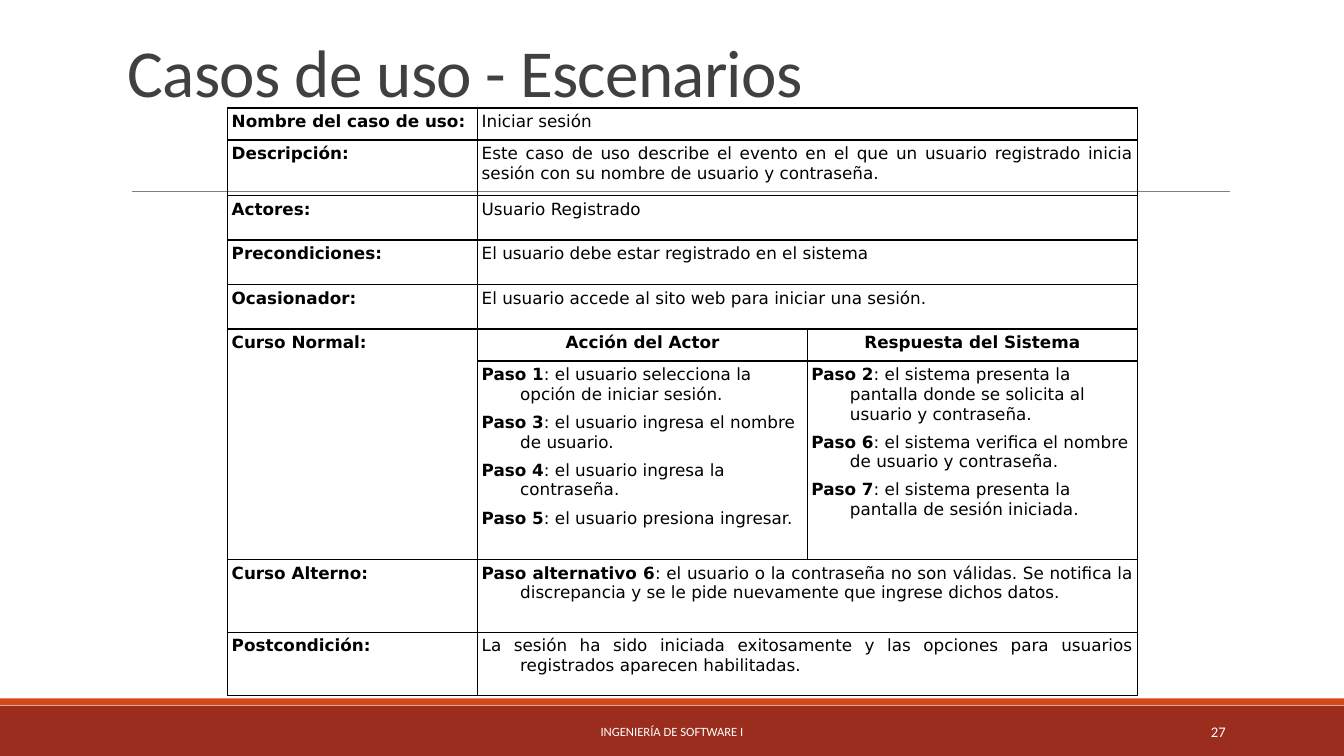
from lxml.etree import SubElement
from pptx import Presentation
from pptx.dml.color import RGBColor
from pptx.enum.shapes import MSO_CONNECTOR, MSO_SHAPE
from pptx.enum.text import MSO_ANCHOR, PP_ALIGN
from pptx.oxml.ns import qn
from pptx.util import Cm, Pt

COLORS = {
    "band": "9B2D1F",
    "stripe": "D34817",
    "rule": "808080",
    "title": "404040",
    "footer": "FFFFFF",
    "ink": "000000",
}
SLIDE_WIDTH, SLIDE_HEIGHT = 33.87, 19.05
COLUMN_WIDTHS = [6.3, 8.31, 8.31]
ROW_HEIGHTS = [0.81, 1.4, 1.12, 1.12, 1.12, 0.81, 5.0, 1.83, 1.6]
CELL_MARGIN = 0.1
HANGING = 0.97
TAB_STOP = 1.78

# Rows whose value spans both right columns: row, label, bold lead, text
SUMMARY_ROWS = [
    (0, "Nombre del caso de uso:", "", "Iniciar sesión"),
    (1, "Descripción:", "", "Este caso de uso describe el evento en el que un usuario "
        "registrado inicia sesión con su nombre de usuario y contraseña."),
    (2, "Actores:", "", "Usuario Registrado"),
    (3, "Precondiciones:", "", "El usuario debe estar registrado en el sistema"),
    (4, "Ocasionador:", "", "El usuario accede al sito web para iniciar una sesión."),
    (7, "Curso Alterno:", "Paso alternativo 6", ": el usuario o la contraseña no son válidas. "
        "Se notifica la discrepancia y se le pide nuevamente que ingrese dichos datos."),
    (8, "Postcondición:", "", "La sesión ha sido iniciada exitosamente y las opciones "
        "para usuarios registrados aparecen habilitadas."),
]
NORMAL_COURSE_ROW = 5
NORMAL_COURSE = {
    "Acción del Actor": [
        ("Paso 1", ": el usuario selecciona la opción de iniciar sesión."),
        ("Paso 3", ": el usuario ingresa el nombre de usuario."),
        ("Paso 4", ": el usuario ingresa la contraseña."),
        ("Paso 5", ": el usuario presiona ingresar."),
    ],
    "Respuesta del Sistema": [
        ("Paso 2", ": el sistema presenta la pantalla donde se solicita al usuario y contraseña."),
        ("Paso 6", ": el sistema verifica el nombre de usuario y contraseña."),
        ("Paso 7", ": el sistema presenta la pantalla de sesión iniciada."),
    ],
}


def rgb(name):
    return RGBColor.from_string(COLORS[name])


def add_band(slide, top, height, color):
    band = slide.shapes.add_shape(
        MSO_SHAPE.RECTANGLE, 0, Cm(top), Cm(SLIDE_WIDTH), Cm(height))
    band.shadow.inherit = False
    band.fill.solid()
    band.fill.fore_color.rgb = rgb(color)
    band.line.fill.background()


def add_rule(slide, left, right, y):
    rule = slide.shapes.add_connector(
        MSO_CONNECTOR.STRAIGHT, Cm(left), Cm(y), Cm(right), Cm(y))
    rule.line.color.rgb = rgb("rule")
    rule.line.width = Pt(0.5)
    SubElement(rule.element.spPr, qn("a:effectLst"))


def add_label(slide, box, text, size, color, align, anchor=MSO_ANCHOR.MIDDLE):
    frame = slide.shapes.add_textbox(*[Cm(length) for length in box]).text_frame
    frame.word_wrap = True
    frame.vertical_anchor = anchor
    frame.text = text
    paragraph = frame.paragraphs[0]
    paragraph.alignment = align
    paragraph.font.name = "Calibri"
    run = paragraph.runs[0]
    run.font.name = "Calibri"
    run.font.size = Pt(size)
    run.font.color.rgb = rgb(color)
    return paragraph


def set_hanging_indent(paragraph):
    properties = paragraph._p.get_or_add_pPr()
    properties.set("marL", str(Cm(HANGING)))
    properties.set("indent", str(-Cm(HANGING)))
    tabs = SubElement(properties, qn("a:tabLst"))
    SubElement(tabs, qn("a:tab"), pos=str(Cm(TAB_STOP)), algn="l")


def fill_cell(cell, entries, align, hanging):
    """Write (bold lead, plain text) entries, one paragraph each."""
    frame = cell.text_frame
    for index, entry in enumerate(entries):
        paragraph = frame.add_paragraph() if index else frame.paragraphs[0]
        paragraph.alignment = align
        if index:
            paragraph.space_before = Pt(6)
        if hanging:
            set_hanging_indent(paragraph)
        else:
            paragraph.space_after = Pt(6)
        for text, bold in zip(entry, (True, False)):
            if text:
                run = paragraph.add_run()
                run.text = text
                run.font.name = "DejaVu Sans"
                run.font.size = Pt(12)
                run.font.bold = bold
                run.font.color.rgb = rgb("ink")


def style_cell(cell):
    cell.margin_left = cell.margin_right = Cm(CELL_MARGIN)
    cell.margin_top = cell.margin_bottom = Cm(CELL_MARGIN)
    properties = cell._tc.get_or_add_tcPr()
    for side in ("lnL", "lnR", "lnT", "lnB"):
        border = SubElement(properties, qn(f"a:{side}"), w=str(Pt(1)))
        fill = SubElement(border, qn("a:solidFill"))
        SubElement(fill, qn("a:srgbClr"), val=COLORS["ink"])
    cell.fill.background()


def add_use_case_table(slide, left, top):
    table = slide.shapes.add_table(
        len(ROW_HEIGHTS), len(COLUMN_WIDTHS), Cm(left), Cm(top),
        Cm(sum(COLUMN_WIDTHS)), Cm(sum(ROW_HEIGHTS))).table
    table.first_row = table.horz_banding = False
    for column, width in zip(table.columns, COLUMN_WIDTHS):
        column.width = Cm(width)
    for row, height in zip(table.rows, ROW_HEIGHTS):
        row.height = Cm(height)
    for cell in table.iter_cells():
        style_cell(cell)

    # Label and value rows
    for row, label, lead, text in SUMMARY_ROWS:
        hanging = row > NORMAL_COURSE_ROW
        table.cell(row, 1).merge(table.cell(row, 2))
        fill_cell(table.cell(row, 0), [(label, "")], PP_ALIGN.JUSTIFY, hanging)
        fill_cell(table.cell(row, 1), [(lead, text)], PP_ALIGN.JUSTIFY, hanging)

    # Normal course: actor steps beside system responses
    heading_row, steps_row = NORMAL_COURSE_ROW, NORMAL_COURSE_ROW + 1
    table.cell(heading_row, 0).merge(table.cell(steps_row, 0))
    fill_cell(table.cell(heading_row, 0), [("Curso Normal:", "")], PP_ALIGN.JUSTIFY, True)
    for column, (heading, steps) in enumerate(NORMAL_COURSE.items(), start=1):
        fill_cell(table.cell(heading_row, column), [(heading, "")], PP_ALIGN.CENTER, True)
        fill_cell(table.cell(steps_row, column), steps, PP_ALIGN.LEFT, True)


def main():
    presentation = Presentation()
    presentation.slide_width = Cm(SLIDE_WIDTH)
    presentation.slide_height = Cm(SLIDE_HEIGHT)
    slide = presentation.slides.add_slide(presentation.slide_layouts[6])

    # Background bands and rule
    add_band(slide, 17.78, 1.27, "band")
    add_band(slide, 17.6, 0.17, "stripe")
    add_rule(slide, 3.32, 31.0, 4.82)

    # Title
    title = add_label(slide, (2.97, -1.12, 27.94, 4.04), "Casos de uso - Escenarios",
                      48, "title", PP_ALIGN.LEFT, MSO_ANCHOR.BOTTOM)
    title.line_spacing = 0.85
    title.runs[0].font._element.set("spc", "-50")

    # Footer
    add_label(slide, (10.24, 17.93, 13.39, 1.02), "INGENIERÍA DE SOFTWARE I",
              9, "footer", PP_ALIGN.CENTER)
    add_label(slide, (27.51, 17.93, 3.63, 1.02), "27", 10.5, "footer", PP_ALIGN.RIGHT)

    # Use case scenario
    add_use_case_table(slide, 5.74, 2.72)

    presentation.save("out.pptx")


if __name__ == "__main__":
    main()
